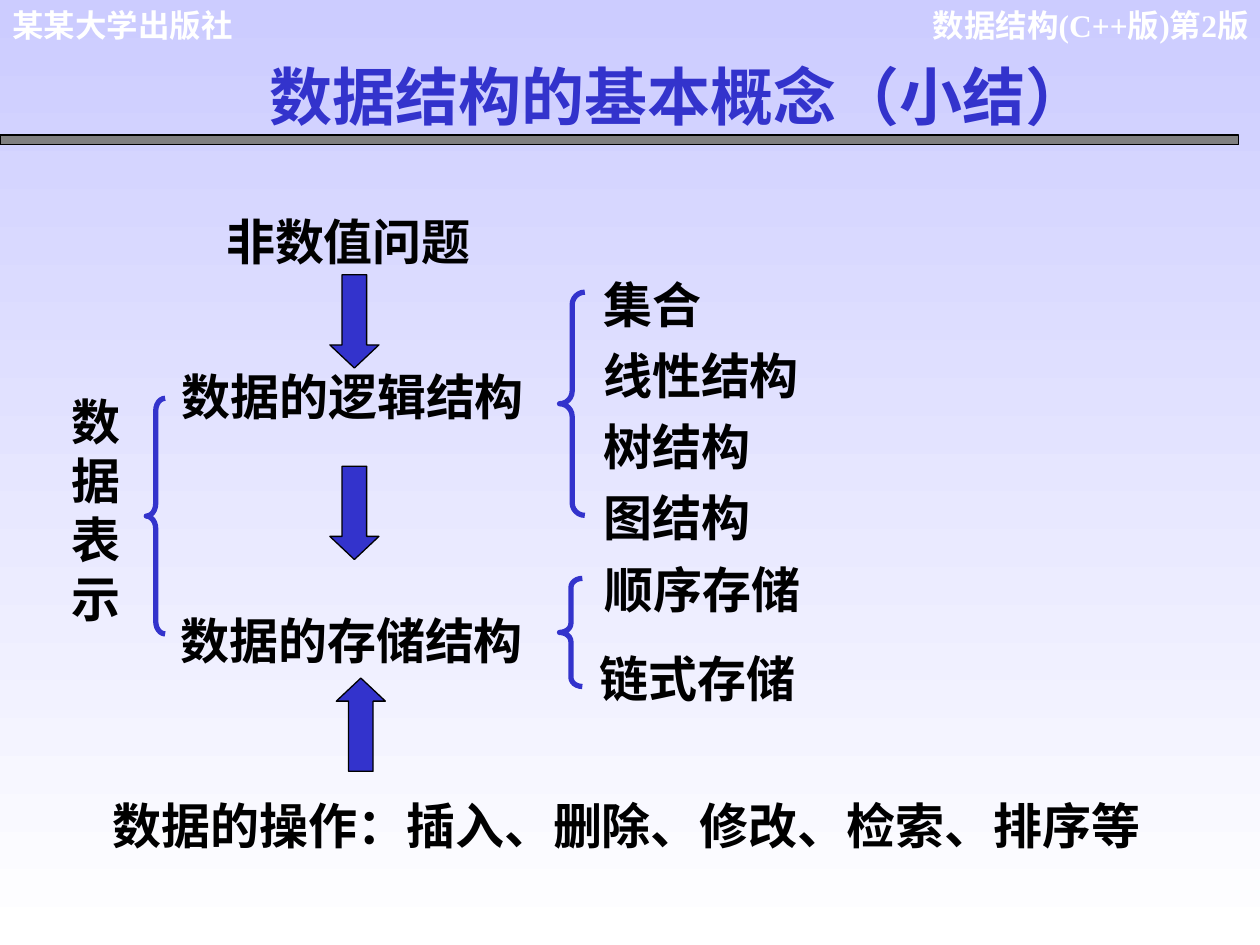
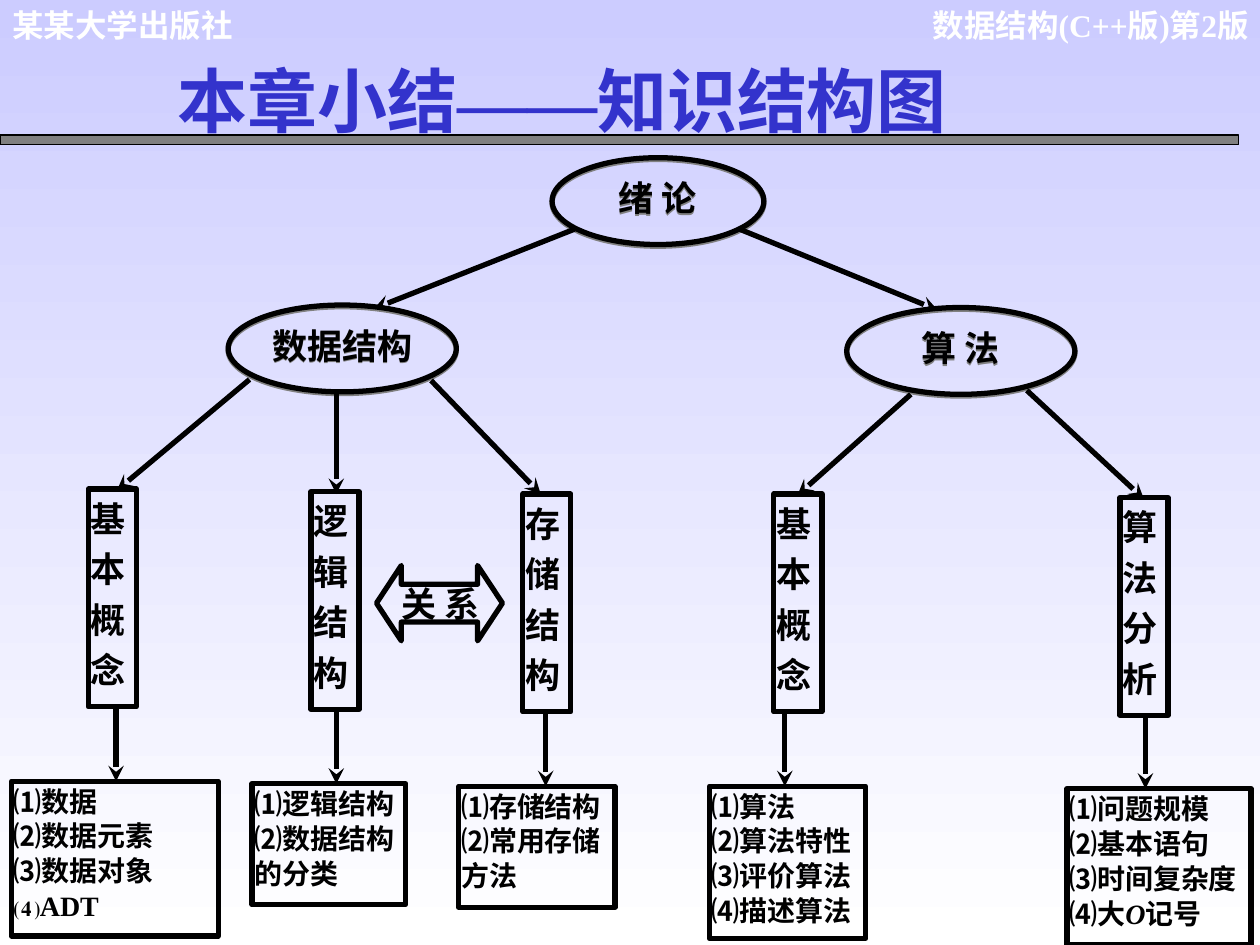
from dataclasses import dataclass

from lxml import etree
from pptx import Presentation
from pptx.dml.color import RGBColor
from pptx.enum.shapes import MSO_CONNECTOR, MSO_SHAPE
from pptx.enum.text import MSO_ANCHOR, MSO_AUTO_SIZE, PP_ALIGN
from pptx.oxml.ns import qn
from pptx.presentation import Presentation as Deck
from pptx.shapes.autoshape import Shape
from pptx.slide import Slide
from pptx.util import Cm, Pt

LEFT, CENTER, RIGHT, JUSTIFY = PP_ALIGN.LEFT, PP_ALIGN.CENTER, PP_ALIGN.RIGHT, PP_ALIGN.JUSTIFY
TOP, MIDDLE = MSO_ANCHOR.TOP, MSO_ANCHOR.MIDDLE
RECT, ELLIPSE, BRACE = MSO_SHAPE.RECTANGLE, MSO_SHAPE.OVAL, MSO_SHAPE.LEFT_BRACE
DOWN, UP, BOTH_WAYS = MSO_SHAPE.DOWN_ARROW, MSO_SHAPE.UP_ARROW, MSO_SHAPE.LEFT_RIGHT_ARROW
STRAIGHT = MSO_CONNECTOR.STRAIGHT

COLORS = {
    "sky": "CCCCFF",
    "white": "FFFFFF",
    "blue": "3333CC",
    "gray": "808080",
    "black": "000000",
}
SERIF, SANS, HAN = "Times New Roman", "Arial", "Noto Sans CJK SC"
LINE_HEIGHT = 1.2
INSETS = (0.25, 0.13, 0.25, 0.13)
TITLE_ONLY, TITLE_AND_BODY = 5, 1


@dataclass(frozen=True)
class Box:
    left: float
    top: float
    width: float
    height: float

    def lengths(self) -> tuple[Cm, Cm, Cm, Cm]:
        return Cm(self.left), Cm(self.top), Cm(self.width), Cm(self.height)


@dataclass(frozen=True)
class Run:
    text: str
    font: str = SERIF
    han: str = HAN
    italic: bool = False


Line = str | list[Run]
Point = tuple[float, float]


@dataclass(frozen=True)
class Concept:
    box: Box
    label: str


@dataclass(frozen=True)
class Topic:
    label: str
    box: Box
    branch: tuple[Point, Point]
    stem: float
    details_box: Box
    details: list[Line]


def rgb(color: str) -> RGBColor:
    return RGBColor.from_string(COLORS[color])


def write(shape: Shape, lines: list[Line], *, size: float = 28, font: str = SERIF,
          color: str = "black", align: PP_ALIGN = LEFT, gap: float = 0,
          leading: float = 1, insets: tuple[float, ...] = INSETS,
          anchor: MSO_ANCHOR = TOP, wrap: bool = True) -> None:
    """Fill a shape with bold lines; gap is the space between paragraphs."""
    frame = shape.text_frame
    frame.word_wrap = wrap
    frame.auto_size = MSO_AUTO_SIZE.NONE
    frame.vertical_anchor = anchor
    (frame.margin_left, frame.margin_top,
     frame.margin_right, frame.margin_bottom) = map(Cm, insets)
    for index, line in enumerate(lines):
        paragraph = frame.add_paragraph() if index else frame.paragraphs[0]
        properties = paragraph._p.get_or_add_pPr()
        properties.set("marL", "0")
        properties.set("indent", "0")
        etree.SubElement(properties, qn("a:buNone"))
        paragraph.alignment = align
        paragraph.space_before = Pt(gap if index else 0)
        paragraph.line_spacing = Pt(size * LINE_HEIGHT * leading)
        for part in [Run(line, font)] if isinstance(line, str) else line:
            run = paragraph.add_run()
            run.text = part.text
            run.font.name = part.font
            run.font.size = Pt(size)
            run.font.bold = True
            run.font.italic = part.italic
            run.font.color.rgb = rgb(color)
            etree.SubElement(run._r.get_or_add_rPr(), qn("a:ea"), typeface=part.han)


def add_text(slide: Slide, box: Box, lines: list[Line], **style) -> None:
    write(slide.shapes.add_textbox(*box.lengths()), lines, **style)


def add_figure(slide: Slide, kind: MSO_SHAPE, box: Box, *, fill: str | None = None,
               line: str = "black", weight: float = 3,
               adjustments: tuple[float, ...] = ()) -> Shape:
    figure = slide.shapes.add_shape(kind, *box.lengths())
    figure.shadow.inherit = False
    if fill:
        figure.fill.solid()
        figure.fill.fore_color.rgb = rgb(fill)
    else:
        figure.fill.background()
    figure.line.color.rgb = rgb(line)
    figure.line.width = Pt(weight)
    for index, value in enumerate(adjustments):
        figure.adjustments[index] = value
    return figure


def add_arrow(slide: Slide, start: Point, end: Point) -> None:
    arrow = slide.shapes.add_connector(STRAIGHT, *map(Cm, (*start, *end)))
    arrow.line.color.rgb = rgb("black")
    arrow.line.width = Pt(3)
    etree.SubElement(arrow.line._get_or_add_ln(), qn("a:tailEnd"), type="stealth")
    etree.SubElement(arrow._element.spPr, qn("a:effectLst"))


def cast_shadow(figure: Shape) -> None:
    """Add a hard gray shadow one point below the figure."""
    effects = figure._element.spPr.find(qn("a:effectLst"))
    shadow = etree.SubElement(effects, qn("a:outerShdw"), blurRad="0",
                              dist=str(Pt(1)), dir="5400000")
    etree.SubElement(shadow, qn("a:srgbClr"), val=COLORS["gray"])


def paint_background(deck: Deck) -> None:
    fill = deck.slide_master.background.fill
    fill.gradient()
    fill.gradient_angle = 270
    for stop, color, position in zip(fill.gradient_stops, ("sky", "white"), (0, 1)):
        stop.color.rgb = rgb(color)
        stop.position = position


def start_slide(deck: Deck, layout: int, title_box: Box, title: Line, **style) -> Slide:
    """Add a slide with the running heads, the gray band and its title."""
    slide = deck.slides.add_slide(deck.slide_layouts[layout])
    add_text(slide, Box(18.34, 0, 6.83, 1.78), ["数据结构(C++版)第2版"],
             size=18, color="white", align=RIGHT, insets=(0, 0.13, 0, 0.13))
    add_text(slide, Box(0, 0, 6.88, 1.02), ["某某大学出版社"],
             size=18, font=SANS, color="white")
    add_figure(slide, RECT, Box(0, 2.72, 24.97, 0.2), fill="gray", weight=0.75)
    place(slide.shapes.title, title_box)
    write(slide.shapes.title, [title], color="blue", **style)
    return slide


def place(placeholder: Shape, box: Box) -> None:
    (placeholder.left, placeholder.top,
     placeholder.width, placeholder.height) = box.lengths()


def build_concepts(deck: Deck) -> None:
    slide = start_slide(deck, TITLE_AND_BODY, Box(2.95, 1.02, 21.46, 1.78),
                        "数据结构的基本概念（小结）", size=36, font=HAN, align=CENTER)

    steps = [
        Concept(Box(3.81, 4.14, 6.43, 1.45), "非数值问题"),
        Concept(Box(2.92, 7.26, 8.38, 1.45), "数据的逻辑结构"),
        Concept(Box(2.9, 12.17, 8.38, 1.45), "数据的存储结构"),
        Concept(Box(1.77, 15.9, 21.72, 1.45), "数据的操作：插入、删除、修改、检索、排序等"),
    ]
    for step in steps:
        add_text(slide, step.box, [step.label], align=CENTER, wrap=False)

    for kind, left, top in [(DOWN, 6.65, 5.54), (DOWN, 6.65, 9.4), (UP, 6.78, 13.67)]:
        add_figure(slide, kind, Box(left, top, 0.99, 1.88), fill="blue",
                   weight=0.75, adjustments=(0.5, 0.47))

    logical_structures = slide.placeholders[1]
    place(logical_structures, Box(11.91, 5.41, 6.38, 5.74))
    write(logical_structures, ["集合", "线性结构", "树结构", "图结构"], gap=7)
    add_text(slide, Box(11.58, 11.15, 4.95, 3.25), [" 顺序存储", "链式存储"],
             align=CENTER, gap=17.5, wrap=False)
    add_text(slide, Box(1.19, 7.77, 1.63, 5), ["数据表示"], font=HAN)

    braces = [
        (Box(11.28, 5.89, 0.51, 4.5), 0.5),
        (Box(11.28, 11.66, 0.46, 2.18), 0.4),
        (Box(2.95, 8.03, 0.38, 4.75), 0.67),
    ]
    for box, curl in braces:
        add_figure(slide, BRACE, box, line="blue", adjustments=(curl, 0.5))


def build_knowledge_map(deck: Deck) -> None:
    title = [Run("本章小结", HAN), Run("——", han=SERIF), Run("知识结构图", HAN)]
    slide = start_slide(deck, TITLE_ONLY, Box(3.33, 1.02, 18.82, 1.96), title,
                        size=40)

    concepts = [
        Concept(Box(11.13, 3.18, 4.27, 1.75), "绪 论"),
        Concept(Box(4.6, 6.15, 4.6, 1.75), "数据结构"),
        Concept(Box(17.07, 6.2, 4.6, 1.75), "算 法"),
    ]
    for concept in concepts:
        ellipse = add_figure(slide, ELLIPSE, concept.box)
        cast_shadow(ellipse)
        write(ellipse, [concept.label], size=20, align=CENTER,
              insets=(0.15, 0.13, 0.15, 0.13))
    add_arrow(slide, (11.58, 4.62), (7.54, 6.22))
    add_arrow(slide, (14.91, 4.62), (18.9, 6.25))

    topics = [
        Topic("基本概念", Box(1.78, 9.86, 0.97, 4.39), ((5.03, 7.65), (2.36, 9.88)),
              2.34, Box(0.23, 15.75, 4.17, 3.12),
              ["⑴数据", "⑵数据元素", "⑶数据对象", "⑷ADT"]),
        Topic("逻辑结构", Box(6.27, 9.91, 0.97, 4.39), ((6.78, 7.92), (6.78, 9.96)),
              6.78, Box(5.08, 15.8, 3.1, 2.44),
              ["⑴逻辑结构", "⑵数据结构", "的分类"]),
        Topic("存储结构", Box(10.54, 9.96, 0.97, 4.39), ((8.69, 7.67), (10.9, 9.96)),
              11, Box(9.25, 15.85, 3.15, 2.44),
              ["⑴存储结构", "⑵常用存储", "方法"]),
        Topic("基本概念", Box(15.6, 9.96, 0.97, 4.39), ((18.36, 7.95), (16.08, 9.98)),
              15.82, Box(14.3, 15.85, 3.15, 3.07),
              ["⑴算法", "⑵算法特性", "⑶评价算法", "⑷描述算法"]),
        Topic("算法分析", Box(22.58, 10.03, 0.97, 4.39), ((20.7, 7.87), (23.06, 10.06)),
              23.09, Box(21.51, 15.9, 3.71, 3.15),
              ["⑴问题规模", "⑵基本语句", "⑶时间复杂度",
               [Run("⑷大"), Run("O", italic=True), Run("记号")]]),
    ]
    for topic in topics:
        add_arrow(slide, *topic.branch)
        write(add_figure(slide, RECT, topic.box), [topic.label], size=20,
              align=JUSTIFY, leading=1.2, insets=(0.05, 0, 0.05, 0))
        add_arrow(slide, (topic.stem, topic.box.top + topic.box.height),
                  (topic.stem, topic.details_box.top))
        write(add_figure(slide, RECT, topic.details_box), topic.details, size=16,
              align=JUSTIFY, leading=1.04, insets=(0.05, 0.03, 0.05, 0.03))

    relation = add_figure(slide, BOTH_WAYS, Box(7.59, 11.4, 2.54, 1.52),
                          adjustments=(0.5, 0.33))
    write(relation, ["关 系"], size=20, align=JUSTIFY, anchor=MIDDLE,
          insets=(0.25, 0, 0, 0))


def main() -> None:
    deck = Presentation()
    deck.slide_width, deck.slide_height = Cm(25.4), Cm(19.05)
    paint_background(deck)
    build_concepts(deck)
    build_knowledge_map(deck)
    deck.save("out.pptx")


if __name__ == "__main__":
    main()
